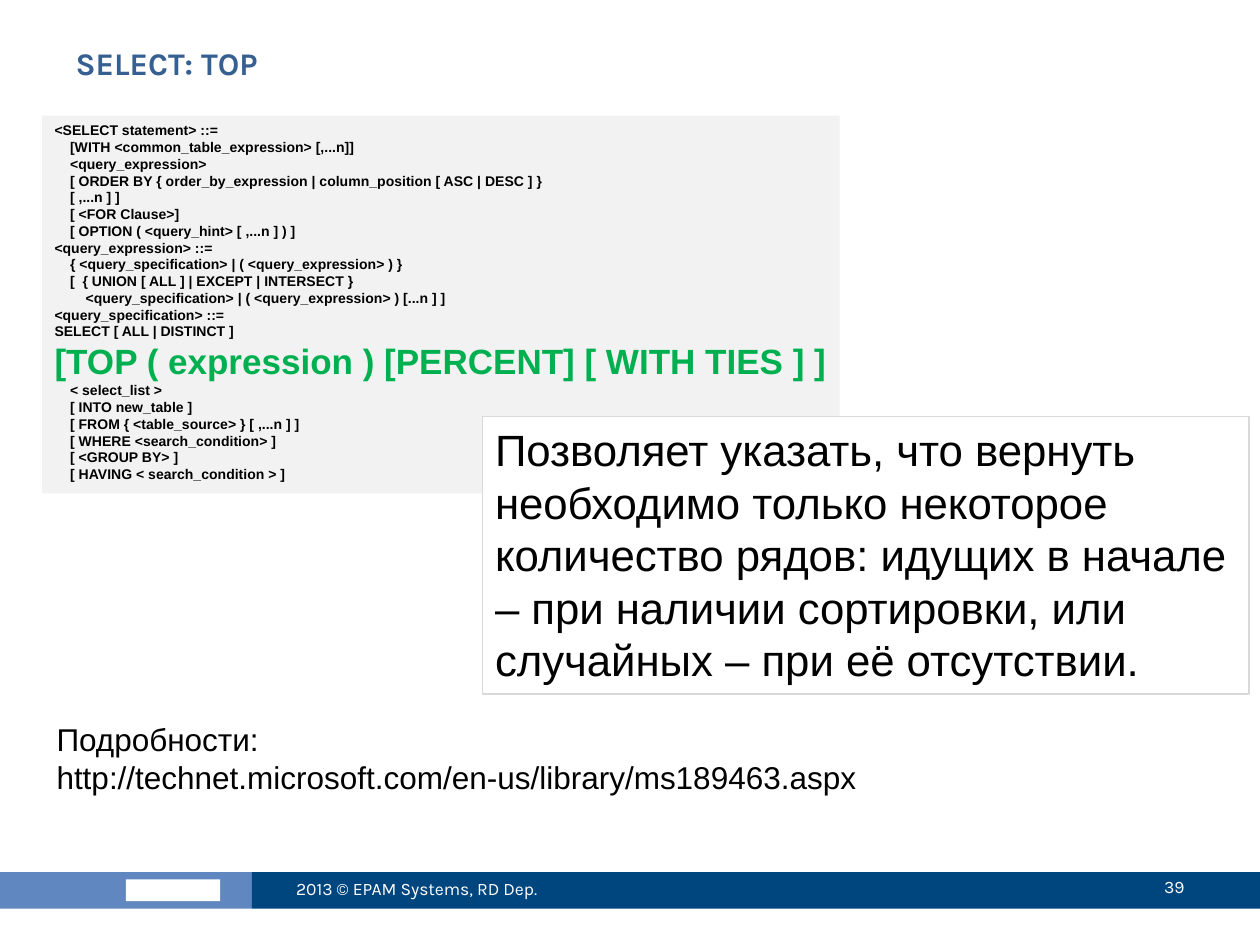
from pptx import Presentation
from pptx.dml.color import RGBColor
from pptx.enum.shapes import MSO_SHAPE
from pptx.enum.text import MSO_ANCHOR, PP_ALIGN
from pptx.util import Cm, Pt

RECT = MSO_SHAPE.RECTANGLE
TOP, MID = MSO_ANCHOR.TOP, MSO_ANCHOR.MIDDLE
LEFT, RIGHT = PP_ALIGN.LEFT, PP_ALIGN.RIGHT
HUE = {
    "title": "376092", "sky": "6087BF", "navy": "00467E", "white": "FFFFFF",
    "code": "F2F2F2", "edge": "D9D9D9", "ink": "000000", "green": "00B050",
}
SYNTAX = """<SELECT statement> ::=
    [WITH <common_table_expression> [,...n]]
    <query_expression>
    [ ORDER BY { order_by_expression | column_position [ ASC | DESC ] }
    [ ,...n ] ]
    [ <FOR Clause>]
    [ OPTION ( <query_hint> [ ,...n ] ) ]
<query_expression> ::=
    { <query_specification> | ( <query_expression> ) }
    [  { UNION [ ALL ] | EXCEPT | INTERSECT }
        <query_specification> | ( <query_expression> ) [...n ] ]
<query_specification> ::=
SELECT [ ALL | DISTINCT ]
[TOP ( expression ) [PERCENT] [ WITH TIES ] ]
    < select_list >
    [ INTO new_table ]
    [ FROM { <table_source> } [ ,...n ] ]
    [ WHERE <search_condition> ]
    [ <GROUP BY> ]
    [ HAVING < search_condition > ]"""
NOTE = ("Позволяет указать, что вернуть необходимо только некоторое "
        "количество рядов: идущих в начале – при наличии сортировки, "
        "или случайных – при её отсутствии.")
MORE = "Подробности:\nhttp://technet.microsoft.com/en-us/library/ms189463.aspx"


def block(x, y, w, h, fill, edge=None):
    """Add a flat rectangle, sized in centimetres."""
    box = slide.shapes.add_shape(RECT, Cm(x), Cm(y), Cm(w), Cm(h))
    box.shadow.inherit = False
    box.fill.solid()
    box.fill.fore_color.rgb = RGBColor.from_string(HUE[fill])
    if edge:
        box.line.color.rgb = RGBColor.from_string(HUE[edge])
        box.line.width = Pt(0.75)
    else:
        box.line.fill.background()
    return box


def write(box, text, size, hue, font="Arial", bold=False,
          anchor=TOP, align=LEFT):
    frame = box.text_frame
    frame.text = text
    frame.word_wrap = True
    frame.vertical_anchor = anchor
    for para in frame.paragraphs:
        para.alignment = align
        for run in para.runs:
            run.font.name = font
            run.font.size = Pt(size)
            run.font.bold = bold
            run.font.color.rgb = RGBColor.from_string(HUE[hue])


deck = Presentation()
deck.slide_width, deck.slide_height = Cm(25.4), Cm(19.05)
slide = deck.slides.add_slide(deck.slide_layouts[5])

# Footer band, with a plain bar in the logo's place
block(0, 17.58, 5.08, 0.74, "sky")
block(2.54, 17.73, 1.9, 0.44, "white")
block(5.08, 17.58, 20.32, 0.74, "navy")
for x, y, w, text, align in [
    (5.72, 17.4, 6.78, "2013 © EPAM Systems, RD Dep.", LEFT),
    (21.39, 17.36, 2.74, "39", RIGHT),
]:
    foot = slide.shapes.add_textbox(Cm(x), Cm(y), Cm(w), Cm(1.02))
    write(foot, text, 10, "white", "Karla", anchor=MID, align=align)

title = slide.shapes.title
title.left, title.top = Cm(1.27), Cm(0.76)
title.width, title.height = Cm(22.86), Cm(1.98)
write(title, "SELECT: TOP", 18, "title", "Karla", bold=True)

code = block(0.85, 2.33, 16.08, 7.62, "code")
write(code, SYNTAX, 8, "ink", bold=True)
for para in code.text_frame.paragraphs:
    if para.text.startswith("[TOP"):
        font = para.runs[0].font
        font.size = Pt(20)
        font.color.rgb = RGBColor.from_string(HUE["green"])

note = block(9.73, 8.4, 15.45, 5.59, "white", "edge")
write(note, NOTE, 25, "ink")

more = slide.shapes.add_textbox(Cm(0.89), Cm(14.4), Cm(23.04), Cm(1.8))
write(more, MORE, 18, "ink")

deck.save("out.pptx")
